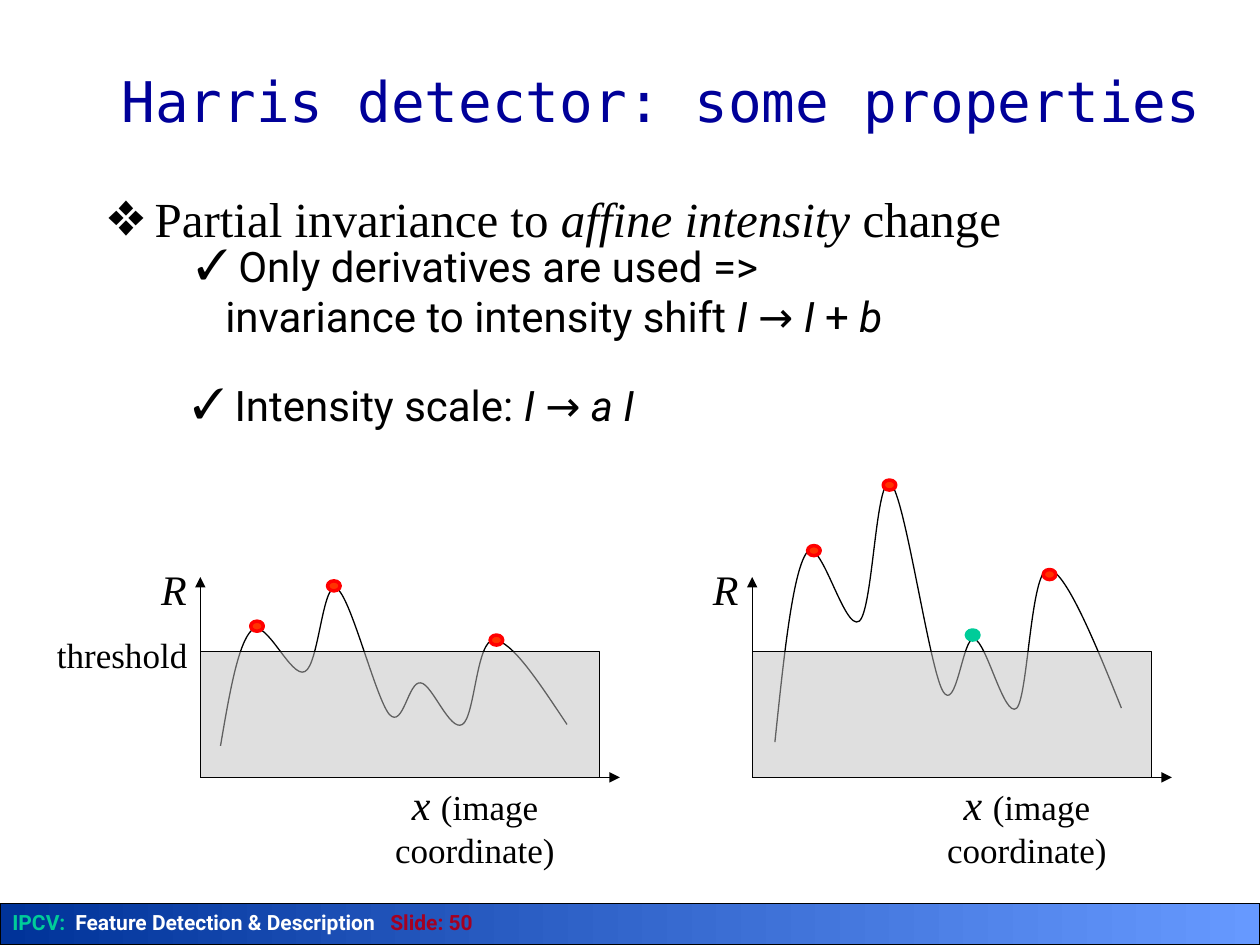
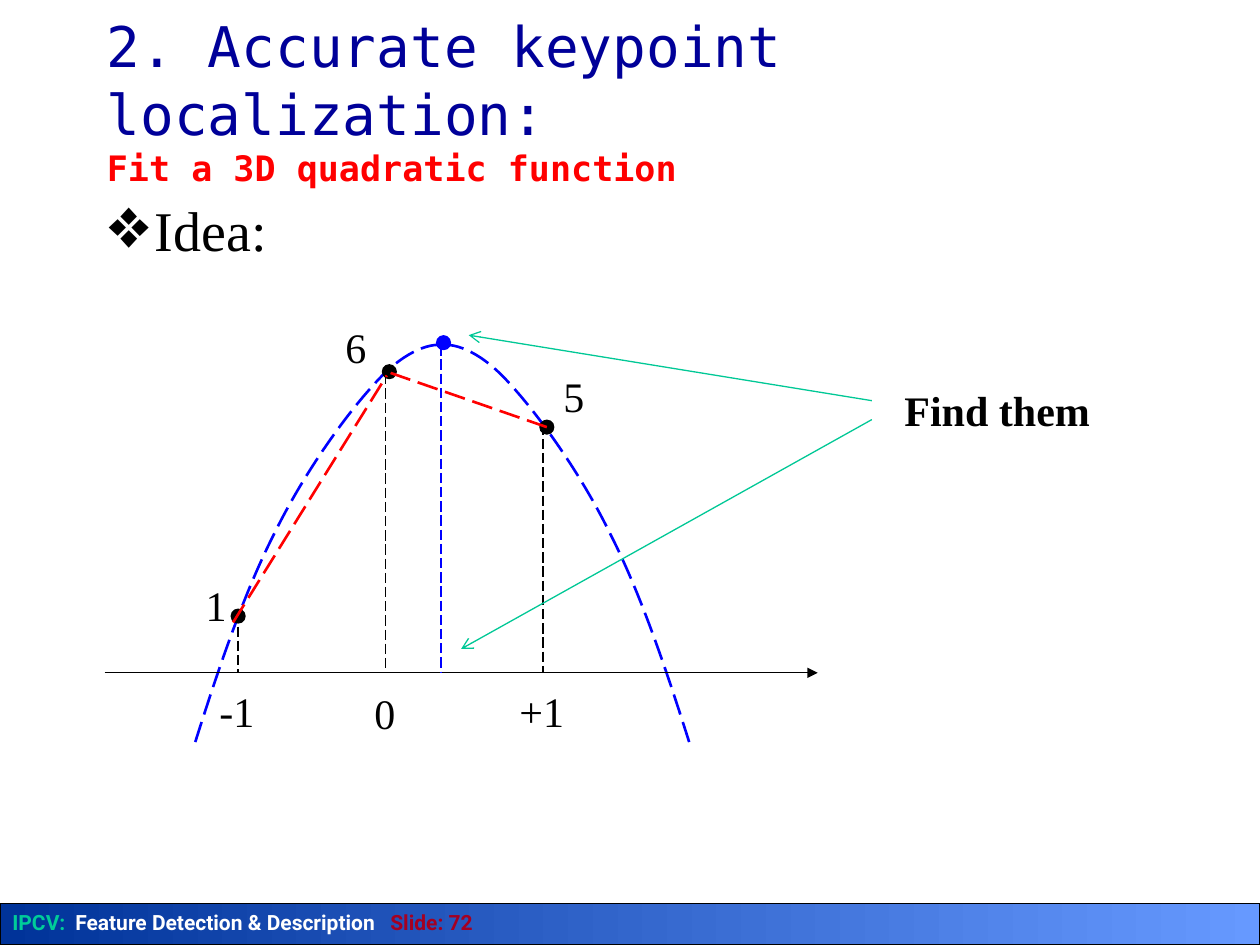
"""Build two slides on feature detection: Harris properties and keypoint fitting."""
from dataclasses import dataclass
from typing import NamedTuple, Optional

from lxml import etree
from pptx import Presentation
from pptx.dml.color import RGBColor
from pptx.enum.dml import MSO_LINE
from pptx.enum.shapes import MSO_CONNECTOR, MSO_SHAPE
from pptx.enum.text import MSO_ANCHOR, PP_ALIGN
from pptx.oxml.ns import qn
from pptx.slide import Slide
from pptx.util import Inches, Pt

LEFT, CENTER = PP_ALIGN.LEFT, PP_ALIGN.CENTER
TOP, MIDDLE = MSO_ANCHOR.TOP, MSO_ANCHOR.MIDDLE
RECT, OVAL = MSO_SHAPE.RECTANGLE, MSO_SHAPE.OVAL
STRAIGHT, DASH = MSO_CONNECTOR.STRAIGHT, MSO_LINE.LONG_DASH

BLACK = RGBColor(0x00, 0x00, 0x00)
WHITE = RGBColor(0xFF, 0xFF, 0xFF)
NAVY = RGBColor(0x00, 0x00, 0x99)
BLUE = RGBColor(0x00, 0x00, 0xFF)
RED = RGBColor(0xFF, 0x00, 0x00)
ORANGE = RGBColor(0xFF, 0x33, 0x00)
GREEN = RGBColor(0x00, 0xCC, 0x99)
TEAL = RGBColor(0x00, 0xC8, 0x96)
MAROON = RGBColor(0xA5, 0x00, 0x21)
SILVER = RGBColor(0xC0, 0xC0, 0xC0)
BAND_DARK = RGBColor(0x00, 0x33, 0x99)
BAND_LIGHT = RGBColor(0x66, 0x99, 0xFF)

SERIF, SANS, MONO = "Times New Roman", "Roboto", "DejaVu Sans Mono"
Point = tuple[float, float]


class Box(NamedTuple):
    """Left, top, width and height in inches."""
    x: float
    y: float
    w: float
    h: float


class Span(NamedTuple):
    """A run of text and what sets it apart from its paragraph."""
    text: str
    size: Optional[float] = None
    color: Optional[RGBColor] = None
    bold: Optional[bool] = None
    italic: Optional[bool] = None


@dataclass
class Style:
    """How a paragraph looks."""
    font: str = SERIF
    size: float = 24
    color: RGBColor = BLACK
    bold: bool = False
    align: PP_ALIGN = LEFT
    anchor: MSO_ANCHOR = TOP
    wrap: bool = True
    bullet: str = ""
    hang: float = 0
    tabs: tuple[float, ...] = ()
    leading: Optional[float] = None


@dataclass
class Graph:
    """A corner response curve over its threshold."""
    x: float
    curve: list[Point]
    peaks: list[Point]
    weak: list[Point]


TITLE_BOX = Box(0.75, 0.17, 9, 1.25)
TAG = Style(align=CENTER, wrap=False)

GRAPHS = [
    Graph(1.59,
          [(1.75, 5.92), (1.82, 5.51), (1.89, 5.1), (2, 5), (2.11, 4.9), (2.31, 5.39),
           (2.42, 5.33), (2.53, 5.28), (2.56, 4.61), (2.67, 4.67), (2.78, 4.72),
           (2.98, 5.54), (3.09, 5.67), (3.2, 5.79), (3.24, 5.4), (3.34, 5.42),
           (3.43, 5.43), (3.57, 5.81), (3.67, 5.75), (3.77, 5.69), (3.78, 5.08),
           (3.92, 5.08), (4.06, 5.08), (4.28, 5.42), (4.5, 5.75)],
          [(2.04, 4.97), (2.65, 4.65), (3.94, 5.08)], []),
    Graph(5.97,
          [(6.15, 5.89), (6.22, 5.22), (6.29, 4.55), (6.4, 4.39), (6.51, 4.23),
           (6.7, 5.02), (6.82, 4.93), (6.93, 4.84), (6.95, 3.75), (7.07, 3.84),
           (7.18, 3.93), (7.37, 5.27), (7.48, 5.48), (7.59, 5.68), (7.64, 5.05),
           (7.73, 5.07), (7.83, 5.09), (7.97, 5.71), (8.07, 5.62), (8.16, 5.52),
           (8.18, 4.52), (8.32, 4.52), (8.45, 4.52), (8.68, 5.07), (8.9, 5.62)],
          [(6.46, 4.37), (7.06, 3.85), (8.33, 4.56)], [(7.72, 5.04)]),
]
RISE = [(1.55, 5.89), (1.74, 5.29), (1.94, 4.7), (2.18, 4.23), (2.41, 3.76),
        (2.74, 3.3), (2.97, 3.05), (3.19, 2.8), (3.4, 2.72), (3.52, 2.74)]
CREST = 3.51


def write(shape, spans: list[Span], style: Style) -> None:
    """Fill a shape with one styled paragraph."""
    frame = shape.text_frame
    frame.word_wrap = style.wrap
    frame.vertical_anchor = style.anchor
    para = frame.paragraphs[0]
    para.alignment = style.align
    props = para._p.get_or_add_pPr()
    if style.bullet:
        props.set("marL", str(Inches(style.hang)))
        props.set("indent", str(-Inches(style.hang)))
        etree.SubElement(props, qn("a:buFont"), typeface=SERIF)
        etree.SubElement(props, qn("a:buChar"), char=style.bullet)
    if style.tabs:
        stops = etree.SubElement(props, qn("a:tabLst"))
        for tab in style.tabs:
            etree.SubElement(stops, qn("a:tab"), pos=str(Inches(tab)), algn="l")
    if style.leading:
        para.line_spacing = style.leading
    font = para.font
    font.name, font.size, font.bold = style.font, Pt(style.size), style.bold
    font.color.rgb = style.color
    for span in spans:
        if span.text == "\n":
            para.add_line_break()
            continue
        run = para.add_run()
        run.text = span.text
        if span.size:
            run.font.size = Pt(span.size)
        if span.color is not None:
            run.font.color.rgb = span.color
        if span.bold is not None:
            run.font.bold = span.bold
        if span.italic is not None:
            run.font.italic = span.italic


def label(slide: Slide, box: Box, spans: list[Span], style: Style) -> None:
    """Add a text box."""
    write(slide.shapes.add_textbox(*map(Inches, box)), spans, style)


def block(slide: Slide, kind: MSO_SHAPE, box: Box):
    """Add a preset shape without a shadow."""
    shape = slide.shapes.add_shape(kind, *map(Inches, box))
    shape.shadow.inherit = False
    return shape


def ink(line, color: RGBColor, width: float, dashed: bool) -> None:
    """Set the colour, width and dash of a line."""
    line.color.rgb = color
    line.width = Pt(width)
    if dashed:
        line.dash_style = DASH


def dot(slide: Slide, mid: Point, w: float, h: float, fill: RGBColor,
        edge: Optional[RGBColor] = None) -> None:
    """Mark a point with an ellipse."""
    shape = block(slide, OVAL, Box(mid[0] - w / 2, mid[1] - h / 2, w, h))
    shape.fill.solid()
    shape.fill.fore_color.rgb = fill
    if edge is None:
        shape.line.fill.background()
    else:
        ink(shape.line, edge, 2, False)


def stroke(slide: Slide, start: Point, end: Point, color: RGBColor = BLACK,
           width: float = 0.75, dashed: bool = False, head: str = "") -> None:
    """Draw a straight line, with an arrowhead if one is named."""
    link = slide.shapes.add_connector(STRAIGHT, *map(Inches, start + end))
    ink(link.line, color, width, dashed)
    if head:
        etree.SubElement(link.line._get_or_add_ln(), qn("a:tailEnd"), type=head)
    etree.SubElement(link._element.spPr, qn("a:effectLst"))


def curve(slide: Slide, knots: list[Point], color: RGBColor = BLACK,
          width: float = 0.75, dashed: bool = False) -> None:
    """Draw an open chain of cubic curves."""
    points = [(Inches(x), Inches(y)) for x, y in knots]
    form = slide.shapes.build_freeform(*points[0])
    form.add_line_segments(points[1:], close=False)
    shape = form.convert_to_shape()
    trace = shape._element.spPr.find(".//" + qn("a:path"))
    legs = trace.findall(qn("a:lnTo"))
    for i in range(0, len(legs), 3):
        cubic = etree.SubElement(trace, qn("a:cubicBezTo"))
        for leg in legs[i:i + 3]:
            cubic.append(leg[0])
            trace.remove(leg)
    shape.shadow.inherit = False
    shape.fill.background()
    ink(shape.line, color, width, dashed)


def footer(slide: Slide, number: int) -> None:
    """Add the gradient band with the course and slide number."""
    band = block(slide, RECT, Box(0, 7.17, 10, 0.33))
    band.fill.gradient()
    band.fill.gradient_angle = 0
    for stop, color in zip(band.fill.gradient_stops, (BAND_DARK, BAND_LIGHT)):
        stop.color.rgb = color
    ink(band.line, BLACK, 0.75, False)
    write(band, [Span("IPCV:\t", color=GREEN), Span("Feature Detection & Description\t"),
                 Span(f"Slide: {number}", color=MAROON)],
          Style(SANS, 12, WHITE, bold=True, tabs=(0.5, 3)))


def title(slide: Slide, spans: list[Span], align: PP_ALIGN) -> None:
    """Add the slide title."""
    label(slide, TITLE_BOX, spans, Style(MONO, 32, NAVY, align=align, anchor=MIDDLE))


def plot(slide: Slide, graph: Graph) -> None:
    """Draw one response curve with axes, threshold and peaks."""
    x, base = graph.x, 6.17
    curve(slide, graph.curve)
    stroke(slide, (x, base), (x + 3.33, base), head="triangle")
    stroke(slide, (x, base), (x, 4.58), head="triangle")
    label(slide, Box(x - 0.41, 4.42, 0.4, 0.5), [Span("R", italic=True)], TAG)
    label(slide, Box(x + 0.92, 6.13, 2.52, 0.5),
          [Span("x ", italic=True), Span("(image coordinate)", 20)], Style(align=CENTER))
    zone = block(slide, RECT, Box(x, 5.17, 3.17, 1))
    zone.fill.solid()
    zone.fill.fore_color.rgb = SILVER
    tint = zone._element.spPr.find(qn("a:solidFill"))[0]
    etree.SubElement(tint, qn("a:alpha"), val="50000")
    ink(zone.line, BLACK, 0.75, False)
    for peak in graph.peaks:
        dot(slide, peak, 0.1, 0.08, ORANGE, RED)
    for peak in graph.weak:
        dot(slide, peak, 0.1, 0.08, GREEN, GREEN)


def harris(slide: Slide) -> None:
    """Build the slide on Harris detector properties."""
    footer(slide, 50)
    title(slide, [Span("Harris detector: some properties")], CENTER)
    label(slide, Box(0.75, 1.5, 9, 0.72),
          [Span("Partial invariance to "), Span("affine intensity", italic=True),
           Span(" change")], Style(size=28, bullet="❖", hang=0.38, leading=0.9))
    check = Style(SANS, bullet="✓", hang=0.23)
    label(slide, Box(1.46, 1.86, 5.9, 0.9),
          [Span(" Only derivatives are used => invariance to intensity shift "),
           Span("I ", italic=True), Span("→ "), Span("I ", italic=True),
           Span("+ "), Span("b", italic=True)], check)
    label(slide, Box(1.43, 2.96, 5.67, 0.5),
          [Span(" Intensity scale: "), Span("I ", italic=True), Span("→ "),
           Span("a I", italic=True)], check)
    for graph in GRAPHS:
        plot(slide, graph)
    label(slide, Box(0.34, 4.98, 1.26, 0.43), [Span("threshold", 20)], TAG)


def keypoint(slide: Slide) -> None:
    """Build the slide on fitting a quadratic to keypoints."""
    footer(slide, 72)
    for knots in (RISE, [(2 * CREST - x, y) for x, y in RISE]):
        curve(slide, knots, BLUE, 1.5, True)
    title(slide, [Span("2. Accurate keypoint localization:"), Span("\n"),
                  Span("Fit a 3D quadratic function", 20, RED, True)], LEFT)
    label(slide, Box(0.75, 1.5, 9, 5.58), [Span("Idea:")],
          Style(size=32, bullet="❖", hang=0.38))
    axis = 5.34
    stroke(slide, (0.83, axis), (6.49, axis), head="triangle")
    for x, y in ((1.89, 4.86), (3.06, 2.97), (4.31, 3.37)):
        stroke(slide, (x, y), (x, axis), dashed=True)
    for mid in ((1.89, 4.89), (3.09, 2.95), (4.34, 3.39)):
        dot(slide, mid, 0.12, 0.12, BLACK)
    stroke(slide, (1.85, 4.94), (3.07, 2.98), RED, 1.5, True)
    stroke(slide, (4.34, 3.39), (3.1, 2.96), RED, 1.5, True)
    stroke(slide, (3.5, 2.74), (3.5, axis), BLUE, dashed=True)
    dot(slide, (3.52, 2.72), 0.12, 0.12, BLUE)
    for text, x, y, w in (("1", 1.53, 4.55, 0.37), ("6", 2.64, 2.5, 0.37),
                          ("5", 4.37, 2.89, 0.37), ("0", 2.87, 5.41, 0.37),
                          ("-1", 1.64, 5.39, 0.48), ("+1", 4.02, 5.39, 0.56)):
        label(slide, Box(x, y, w, 0.5), [Span(text)], TAG)
    stroke(slide, (6.92, 3.18), (3.72, 2.66), TEAL, head="arrow")
    stroke(slide, (6.92, 3.33), (3.66, 5.15), TEAL, head="arrow")
    label(slide, Box(7.08, 3, 1.69, 0.5), [Span("Find them")],
          Style(bold=True, wrap=False))


def main() -> None:
    """Build and save the slides."""
    deck = Presentation()
    deck.slide_width, deck.slide_height = Inches(10), Inches(7.5)
    for build in (harris, keypoint):
        build(deck.slides.add_slide(deck.slide_layouts[6]))
    deck.save("out.pptx")


if __name__ == "__main__":
    main()
